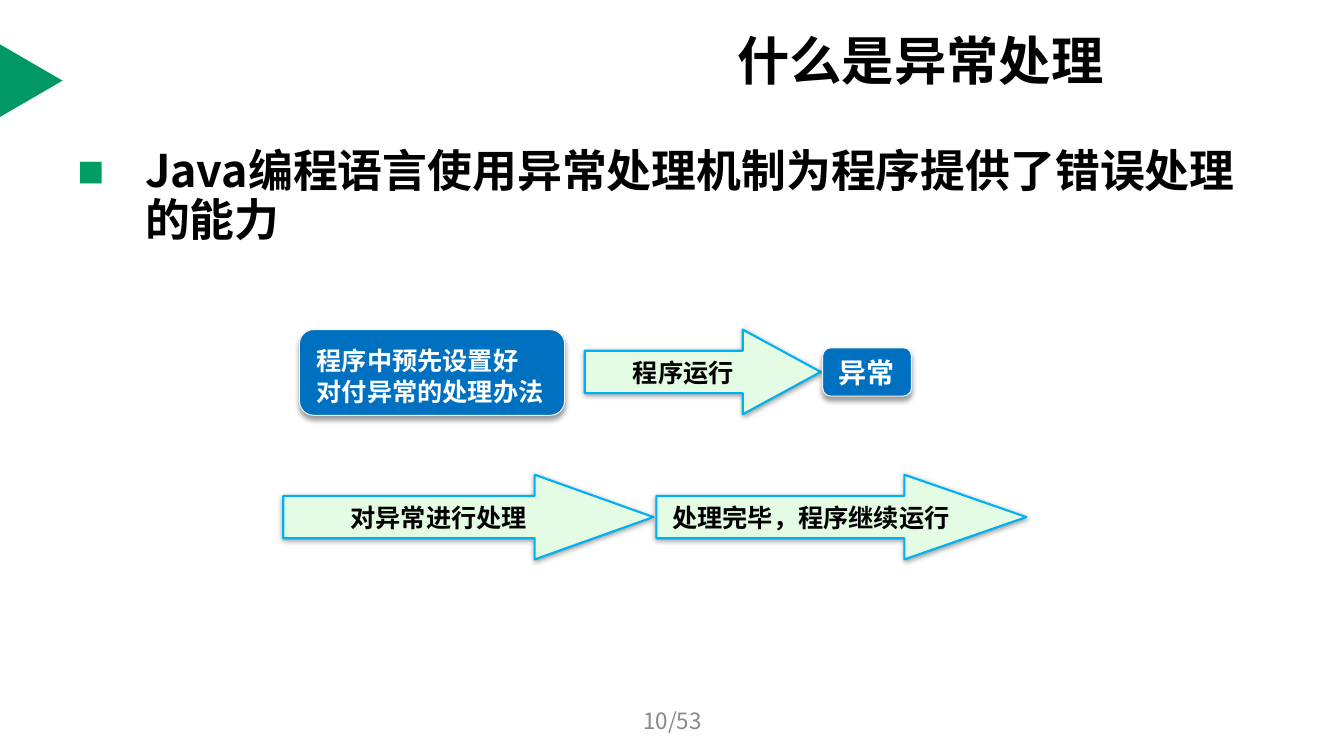
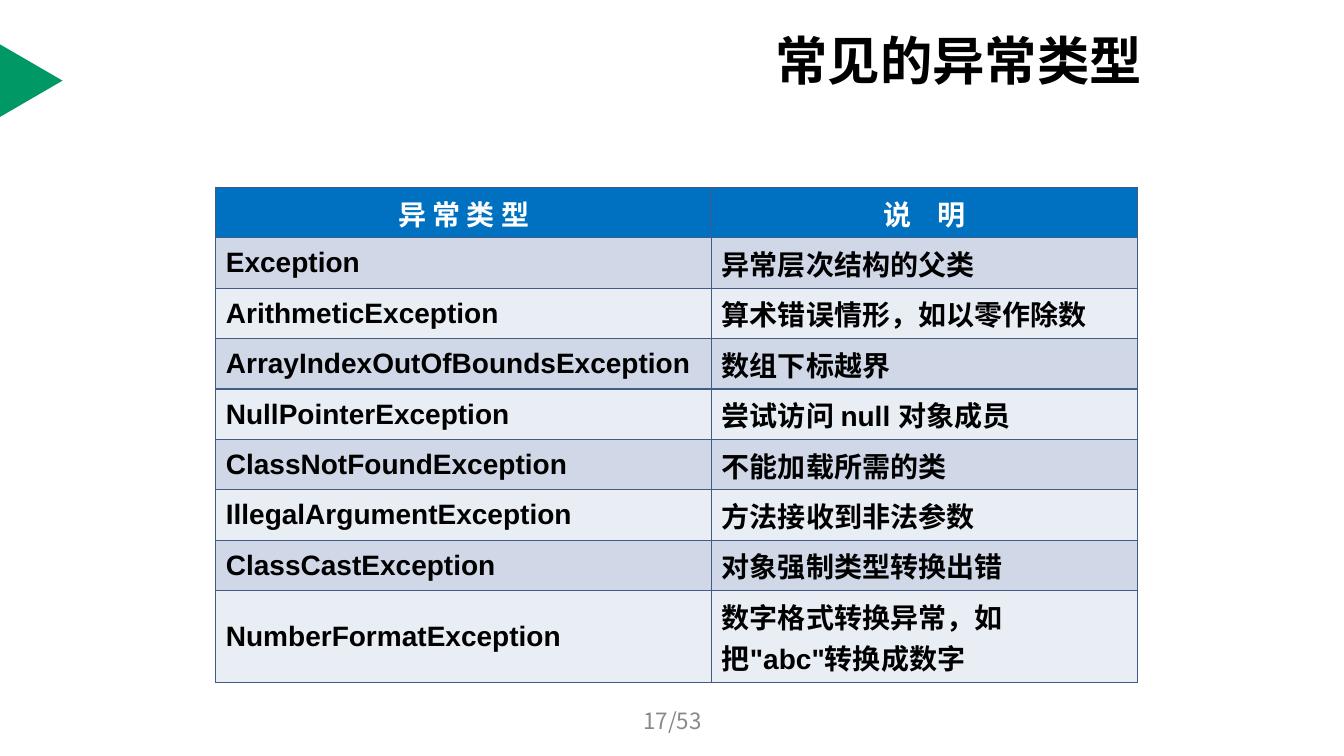
from pptx import Presentation
from pptx.dml.color import RGBColor
from pptx.enum import shapes, text
from pptx.oxml import parse_xml
from pptx.oxml.ns import nsdecls
from pptx.util import Inches, Pt

SANS, LATIN = "Noto Sans CJK SC", "Arial"
BLACK, WHITE, GREY = "000000", "FFFFFF", "898989"
GREEN, BULLET_GREEN = "009966", "009E64"
BLUE, PALE_GREEN, SKY, PALE_GREY = "0070C0", "E4FCE4", "00B0F0", "F2F2F2"
BANDS, GRID = ("D0D8E8", "E9EDF4"), "415A86"
LEFT, CENTER = text.PP_ALIGN.LEFT, text.PP_ALIGN.CENTER
MIDDLE, BOTTOM = text.MSO_ANCHOR.MIDDLE, text.MSO_ANCHOR.BOTTOM
SHAPE = shapes.MSO_SHAPE

EXCEPTIONS = [
    ("Exception", "异常层次结构的父类"),
    ("ArithmeticException", "算术错误情形，如以零作除数"),
    ("ArrayIndexOutOfBoundsException", "数组下标越界"),
    ("NullPointerException", "尝试访问 null 对象成员"),
    ("ClassNotFoundException", "不能加载所需的类"),
    ("IllegalArgumentException", "方法接收到非法参数"),
    ("ClassCastException", "对象强制类型转换出错"),
    ("NumberFormatException", "数字格式转换异常，如把\"abc\"转换成数字"),
]


def rgb(value):
    """Return the colour for a hex string."""
    return RGBColor.from_string(value)


def element(tag, attributes="", inner=""):
    """Return a DrawingML element."""
    return parse_xml(f'<a:{tag} {nsdecls("a")} {attributes}>{inner}</a:{tag}>')


def color_xml(value, inner=""):
    """Return the markup of one colour."""
    return f'<a:srgbClr val="{value}">{inner}</a:srgbClr>'


def write(frame, lines, size, color, font=SANS, bold=True, align=LEFT, anchor=MIDDLE):
    """Write one paragraph per line into a text frame."""
    frame.word_wrap = True
    frame.vertical_anchor = anchor
    for index, line in enumerate(lines):
        paragraph = frame.add_paragraph() if index else frame.paragraphs[0]
        paragraph.alignment = align
        run = paragraph.add_run()
        run.text = line
        run.font.size, run.font.bold = Pt(size), bold
        run.font.color.rgb = rgb(color)
        run.font.name = font
        run.font._element.append(element("ea", f'typeface="{SANS}"'))


def add_text(slide, box, lines, size, color, **style):
    """Add a text box and return its frame."""
    frame = slide.shapes.add_textbox(*map(Inches, box)).text_frame
    write(frame, lines, size, color, **style)
    return frame


def add_figure(slide, kind, box, fill, line=None, width=0.75, shadow=None):
    """Add a preset shape, with a downward shadow at the given distance."""
    figure = slide.shapes.add_shape(kind, *map(Inches, box))
    figure.shadow.inherit = False
    figure.fill.solid()
    figure.fill.fore_color.rgb = rgb(fill)
    if line:
        figure.line.color.rgb = rgb(line)
        figure.line.width = Pt(width)
    else:
        figure.line.fill.background()
    if shadow:
        effects = figure._element.spPr.find(element("effectLst").tag)
        effects.append(element(
            "outerShdw",
            f'blurRad="{Pt(4)}" dist="{Pt(shadow)}" dir="5400000" rotWithShape="0"',
            color_xml(BLACK, '<a:alpha val="40000"/>')))
    return figure


def add_page(deck, heading, left, page):
    """Add a slide with its heading, side marker and page number."""
    slide = deck.slides.add_slide(deck.slide_layouts[5])
    title = slide.shapes.title
    title.left, title.top = Inches(left), Inches(0.31)
    title.width, title.height = Inches(11.47 - left), Inches(0.57)
    title.text_frame.auto_size = text.MSO_AUTO_SIZE.NONE
    write(title.text_frame, [heading], 37.4, BLACK)
    marker = add_figure(slide, SHAPE.ISOSCELES_TRIANGLE, (-0.05, 0.49, 0.72, 0.62), GREEN)
    marker.rotation = 90
    add_text(slide, (4.56, 6.95, 4.22, 0.4), [f"{page}/53"], 16, GREY,
             bold=False, align=CENTER)
    return slide


def add_statement(slide, box, line):
    """Add a paragraph with a square bullet."""
    frame = add_text(slide, box, [line], 32, BLACK, anchor=text.MSO_ANCHOR.TOP)
    paragraph = frame.paragraphs[0]
    paragraph.line_spacing = 0.9
    properties = paragraph._p.get_or_add_pPr()
    properties.set("marL", str(Inches(0.67)))
    properties.set("indent", str(Inches(-0.67)))
    for part in (element("buClr", inner=color_xml(BULLET_GREEN)),
                 element("buFont", f'typeface="{LATIN}"'),
                 element("buChar", 'char="■"')):
        properties.append(part)


def add_state(slide, box, lines, size):
    """Add a rounded blue box."""
    state = add_figure(slide, SHAPE.ROUNDED_RECTANGLE, box, BLUE, PALE_GREY, shadow=3)
    frame = state.text_frame
    frame.margin_left, frame.margin_right = Inches(0.13), 0
    write(frame, lines, size, WHITE, LATIN, anchor=BOTTOM)


def add_step(slide, box, line, head):
    """Add a labelled arrow whose head length is relative to its height."""
    step = add_figure(slide, SHAPE.RIGHT_ARROW, box, PALE_GREEN, SKY, 1.5, shadow=1)
    step.adjustments[1] = head
    write(step.text_frame, [line], 18, BLACK, LATIN, align=CENTER)


def add_flow(slide, left, top):
    """Add the two rows of the exception handling flow."""
    add_state(slide, (left + 0.16, top, 2.63, 0.85), ["程序中预先设置好", "对付异常的处理办法"], 18)
    add_step(slide, (left + 2.99, top, 2.34, 0.84), "程序运行", 0.92)
    add_state(slide, (left + 5.35, top + 0.18, 0.88, 0.48), ["异常"], 20)
    add_step(slide, (left, top + 1.44, 3.67, 0.84), "对异常进行处理", 1.4)
    add_step(slide, (left + 3.7, top + 1.44, 3.67, 0.84), "处理完毕，程序继续运行", 1.44)


def fill_cell(cell, line, fill, color, font, align):
    """Write, border and fill one table cell."""
    write(cell.text_frame, [line], 20, color, font, align=align)
    cell.vertical_anchor = MIDDLE
    properties = cell._tc.get_or_add_tcPr()
    for side in "LRTB":
        properties.append(element(f"ln{side}", f'w="{Pt(1)}"',
                                  f"<a:solidFill>{color_xml(GRID)}</a:solidFill>"))
    cell.fill.solid()
    cell.fill.fore_color.rgb = rgb(fill)


def add_exception_table(slide, left, top):
    """Add the table of exception types."""
    rows = [("异 常 类 型", "说    明")] + EXCEPTIONS
    widths, heights = (4.92, 4.22), [0.5] * len(EXCEPTIONS) + [0.91]
    box = (left, top, sum(widths), sum(heights))
    table = slide.shapes.add_table(len(rows), 2, *map(Inches, box)).table
    for column, width in zip(table.columns, widths):
        column.width = Inches(width)
    for index, (row, height) in enumerate(zip(rows, heights)):
        table.rows[index].height = Inches(height)
        style = (BANDS[(index - 1) % 2], BLACK, LATIN, LEFT) if index else (
            BLUE, WHITE, SANS, CENTER)
        for column, line in enumerate(row):
            fill_cell(table.cell(index, column), line, *style)


def main():
    """Build and save the deck."""
    deck = Presentation()
    deck.slide_width, deck.slide_height = Inches(13.33), Inches(7.5)
    handling = add_page(deck, "什么是异常处理", 7.21, 10)
    add_statement(handling, (0.67, 1.43, 12, 5.27),
                  "Java编程语言使用异常处理机制为程序提供了错误处理的能力")
    add_flow(handling, 2.81, 3.27)
    types = add_page(deck, "常见的异常类型", 7.59, 17)
    add_exception_table(types, 2.14, 1.86)
    deck.save("out.pptx")


main()
